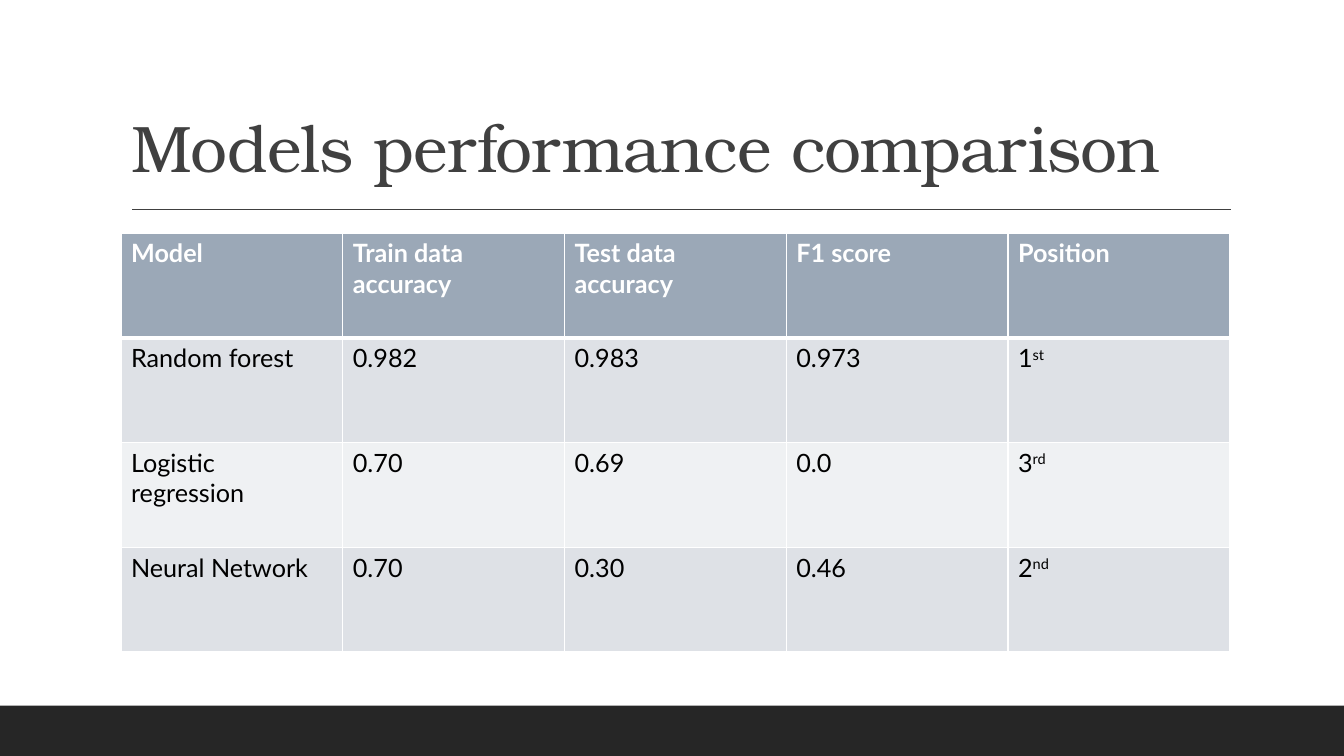
from dataclasses import dataclass
from typing import NamedTuple

from lxml import etree
from pptx import Presentation
from pptx.dml.color import RGBColor
from pptx.enum.shapes import MSO_CONNECTOR, MSO_SHAPE
from pptx.enum.text import MSO_ANCHOR, MSO_AUTO_SIZE, PP_ALIGN
from pptx.oxml.ns import qn
from pptx.slide import Slide
from pptx.table import _Cell
from pptx.text.text import _Paragraph
from pptx.util import Cm, Pt

LINE = MSO_CONNECTOR.STRAIGHT
RECT = MSO_SHAPE.RECTANGLE
BOTTOM = MSO_ANCHOR.BOTTOM
FIXED = MSO_AUTO_SIZE.NONE
LEFT = PP_ALIGN.LEFT
TITLE_ONLY = 5


@dataclass(frozen=True)
class Theme:
    serif: str = "TeX Gyre Bonum"
    sans: str = "Lato"
    title: float = 47
    text: float = 18
    dark: str = "262626"
    grey: str = "404040"
    white: str = "FFFFFF"
    black: str = "000000"
    head: str = "9BA8B7"
    bands: tuple[str, str] = ("DEE1E6", "EFF1F3")


class Model(NamedTuple):
    name: str
    train: str
    test: str
    score: str
    place: str
    suffix: str


THEME = Theme()
HEADS = ("Model", "Train data accuracy", "Test data accuracy", "F1 score", "Position")
MODELS = (
    Model("Random forest", "0.982", "0.983", "0.973", "1", "st"),
    Model("Logistic regression", "0.70", "0.69", "0.0", "3", "rd"),
    Model("Neural Network", "0.70", "0.30", "0.46", "2", "nd"),
)


def add_run(para: _Paragraph, text: str, font: str, size: float, color: str,
            bold: bool = False, **extra: str) -> None:
    run = para.add_run()
    run.text = text
    run.font.name = font
    run.font.size = Pt(size)
    run.font.bold = bold
    run.font.color.rgb = RGBColor.from_string(color)
    for key, value in extra.items():
        run._r.get_or_add_rPr().set(key, value)


def add_edges(cell: _Cell, base: float) -> None:
    props = cell._tc.get_or_add_tcPr()
    for side, width in (("L", 1), ("R", 1), ("T", 1), ("B", base)):
        edge = etree.SubElement(props, qn(f"a:ln{side}"), w=str(Pt(width)))
        fill = etree.SubElement(edge, qn("a:solidFill"))
        etree.SubElement(fill, qn("a:srgbClr"), val=THEME.white)


def fill_cell(cell: _Cell, text: str, fill: str, color: str,
              head: bool = False, suffix: str = "") -> None:
    add_edges(cell, 3 if head else 1)
    cell.fill.solid()
    cell.fill.fore_color.rgb = RGBColor.from_string(fill)
    para = cell.text_frame.paragraphs[0]
    add_run(para, text, THEME.sans, THEME.text, color, head)
    if suffix:
        add_run(para, suffix, THEME.sans, THEME.text, color, baseline="30000")


def add_frame(slide: Slide) -> None:
    # Footer bar
    bar = slide.shapes.add_shape(RECT, 0, Cm(17.78), Cm(33.87), Cm(1.27))
    bar.shadow.inherit = False
    bar.fill.solid()
    bar.fill.fore_color.rgb = RGBColor.from_string(THEME.dark)
    bar.line.fill.background()

    # Rule under the title
    rule = slide.shapes.add_connector(LINE, Cm(3.33), Cm(5.28), Cm(31.01), Cm(5.28))
    rule.line.color.rgb = RGBColor.from_string(THEME.grey)
    rule.line.width = Pt(1)
    etree.SubElement(rule._element.spPr, qn("a:effectLst"))


def add_title(slide: Slide, text: str) -> None:
    title = slide.shapes.title
    title.left, title.top, title.width, title.height = Cm(3.05), Cm(0.79), Cm(27.94), Cm(4.04)
    frame = title.text_frame
    frame.auto_size = FIXED
    frame.vertical_anchor = BOTTOM
    para = frame.paragraphs[0]
    para.alignment = LEFT
    para.line_spacing = 0.9
    add_run(para, text, THEME.serif, THEME.title, THEME.grey, spc="-50")


def add_models(slide: Slide) -> None:
    table = slide.shapes.add_table(len(MODELS) + 1, len(HEADS),
                                   Cm(3.05), Cm(5.87), Cm(27.94), Cm(10.56)).table
    # Header row
    for col, text in enumerate(HEADS):
        fill_cell(table.cell(0, col), text, THEME.head, THEME.white, head=True)

    # One banded row per model
    for row, model in enumerate(MODELS, 1):
        fill = THEME.bands[(row - 1) % 2]
        *texts, suffix = model
        for col, text in enumerate(texts):
            last = col == len(HEADS) - 1
            fill_cell(table.cell(row, col), text, fill, THEME.black,
                      suffix=suffix if last else "")


def main() -> None:
    deck = Presentation()
    deck.slide_width, deck.slide_height = Cm(33.87), Cm(19.05)
    slide = deck.slides.add_slide(deck.slide_layouts[TITLE_ONLY])
    add_frame(slide)
    add_title(slide, "Models performance comparison")
    add_models(slide)
    deck.save("out.pptx")


if __name__ == "__main__":
    main()
